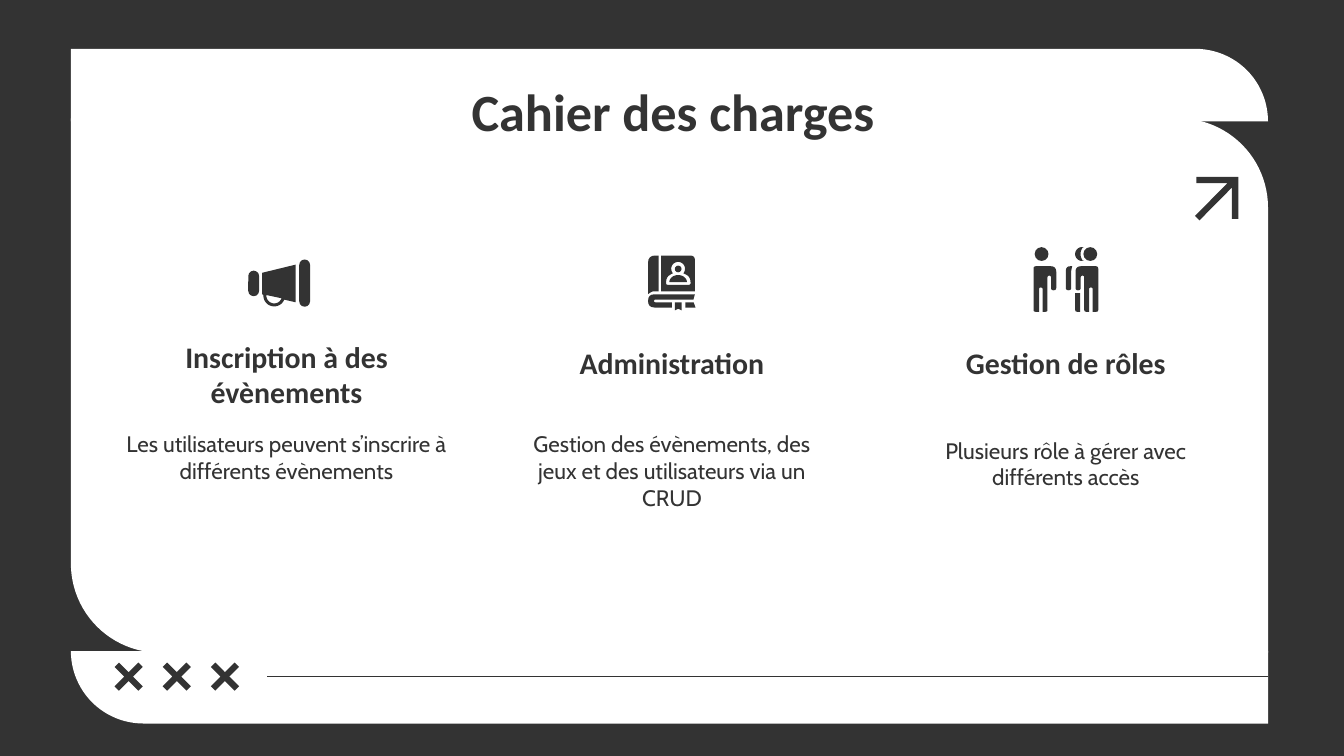
import dataclasses
import math

import pptx
import pptx.dml.color
import pptx.enum.shapes
import pptx.enum.text
import pptx.oxml
import pptx.oxml.ns
import pptx.util

Pt = pptx.util.Pt
Preset = pptx.enum.shapes.MSO_SHAPE
Anchor = pptx.enum.text.MSO_ANCHOR


@dataclasses.dataclass(frozen=True)
class Theme:
    dark: str = "333333"
    white: str = "FFFFFF"
    heading_font: str = "Calibri"
    body_font: str = "Cabin"
    title_size: float = 28
    heading_size: float = 16
    body_size: float = 12


THEME = Theme()
TITLE = {"name": THEME.heading_font, "size": Pt(THEME.title_size), "bold": True}
HEADING = {"name": THEME.heading_font, "size": Pt(THEME.heading_size), "bold": True}
BODY = {"name": THEME.body_font, "size": Pt(THEME.body_size), "bold": False}

COLUMN_LEFT, COLUMN_STEP = 57, 211
COLUMNS = [
    ("Inscription à des évènements", 192.2, 34.6,
     "Les utilisateurs peuvent s’inscrire à différents évènements", 223.2, 70.6, 193),
    ("Administration", 176.4, 34.6,
     "Gestion des évènements, des jeux et des utilisateurs via un CRUD", 223.2, 59, 184),
    ("Gestion de rôles", 176.4, 34.6,
     "Plusieurs rôle à gérer avec différents accès", 226.8, 45.4, 184),
]


def apply(target, values):
    for name, value in values.items():
        setattr(target, name, value)


def color(value):
    return pptx.dml.color.RGBColor.from_string(value)


def paint(shape, fill):
    shape.shadow.inherit = False
    shape.fill.solid()
    shape.fill.fore_color.rgb = color(fill)
    shape.line.fill.background()
    return shape


def add_preset(shapes, preset, left, top, width, height, fill=THEME.dark, adjustments=()):
    shape = shapes.add_shape(preset, Pt(left), Pt(top), Pt(width), Pt(height))
    for index, value in enumerate(adjustments):
        shape.adjustments[index] = value
    return paint(shape, fill)


def add_outline(shapes, *contours, fill=THEME.dark):
    builder = None
    for contour in contours:
        points = [(Pt(x), Pt(y)) for x, y in contour]
        if builder is None:
            builder = shapes.build_freeform(*points[0])
        else:
            builder.move_to(*points[0])
        builder.add_line_segments(points[1:], close=True)
    return paint(builder.convert_to_shape(), fill)


def arc(center_x, center_y, radius_x, radius_y, start, end, steps=24):
    angles = [math.radians(start + (end - start) * i / steps) for i in range(steps + 1)]
    return [(center_x + radius_x * math.cos(a), center_y + radius_y * math.sin(a)) for a in angles]


def rounded(*corners):
    points = []
    for index, (x, y, radius) in enumerate(corners):
        if not radius:
            points.append((x, y))
            continue
        ends = []
        for other in (corners[index - 1], corners[(index + 1) % len(corners)]):
            share = radius / math.hypot(other[0] - x, other[1] - y)
            ends.append((x + (other[0] - x) * share, y + (other[1] - y) * share))
        (x0, y0), (x1, y1) = ends
        for t in (0, 0.25, 0.5, 0.75, 1):
            a, b, c = (1 - t) ** 2, 2 * t * (1 - t), t ** 2
            points.append((a * x0 + b * x + c * x1, a * y0 + b * y + c * y1))
    return points


def add_text(slide, text, left, top, width, height, font, anchor=Anchor.TOP):
    frame = slide.shapes.add_textbox(Pt(left), Pt(top), Pt(width), Pt(height)).text_frame
    apply(frame, {"word_wrap": True, "vertical_anchor": anchor,
                  **{f"margin_{side}": Pt(7.2) for side in ("left", "top", "right", "bottom")}})
    paragraph = frame.paragraphs[0]
    paragraph.alignment = pptx.enum.text.PP_ALIGN.CENTER
    run = paragraph.add_run()
    run.text = text
    apply(run.font, font)
    run.font.color.rgb = color(THEME.dark)


def add_rule(slide, x0, x1, y):
    line = slide.shapes.add_connector(
        pptx.enum.shapes.MSO_CONNECTOR.STRAIGHT, Pt(x0), Pt(y), Pt(x1), Pt(y))
    line.line.color.rgb = color(THEME.dark)
    line.line.width = Pt(0.75)
    properties = line._element.spPr
    properties.append(pptx.oxml.parse_xml(f"<a:effectLst {pptx.oxml.ns.nsdecls('a')}/>"))


def add_panel(slide):
    shapes = slide.shapes.add_group_shape().shapes
    left, right, radius = 38, 679.3, 38.8
    add_preset(shapes, Preset.ROUND_2_DIAG_RECTANGLE, left, 63.4, right - left, 286.3,
               THEME.white, (0, 0.167))
    top, bottom = 26.2, 387.6
    add_outline(shapes, [(left, top + radius), (left, top)]
                + arc(right - radius, top + radius, radius, radius, -90, 0), fill=THEME.white)
    add_outline(shapes, [(right, bottom - radius), (right, bottom)]
                + arc(left + radius, bottom - radius, radius, radius, 90, 180), fill=THEME.white)


def add_decorations(slide):
    add_rule(slide, 143.3, 679.5, 362.3)
    crosses = slide.shapes.add_group_shape().shapes
    for index in range(3):
        cross = add_preset(crosses, Preset.CROSS, 59.9 + index * 25.8, 353.5, 18, 18,
                           adjustments=(0.407,))
        cross.rotation = 45
    add_outline(slide.shapes, [
        (660, 117.3), (660, 100.5), (642.6, 118.1), (640.2, 115.7), (657.6, 98.2),
        (641, 98.2), (641, 94.8), (663.4, 94.8), (663.4, 117.3)])


def add_megaphone(slide):
    shapes = slide.shapes.add_group_shape().shapes
    add_preset(shapes, Preset.ROUNDED_RECTANGLE, 133, 145, 5.8, 13.7, adjustments=(0.5,))
    add_preset(shapes, Preset.ROUNDED_RECTANGLE, 160.3, 139, 5.8, 25.3, adjustments=(0.5,))
    add_outline(shapes,
                [(158.4, 141.8), (140.4, 146.2), (140.4, 157.6)]
                + arc(146.9, 158.4, 5.8, 5.8, 182, 22) + [(158.4, 162)],
                arc(146.9, 158.4, 4.2, 4.2, 184, 20))


def add_book(slide):
    shapes = slide.shapes.add_group_shape().shapes
    add_outline(shapes, rounded((347.2, 136.9, 4), (352.8, 136.9, 0), (352.8, 156.1, 0),
                                (349.5, 156.1, 1), (347.2, 157.6, 0)))
    add_outline(shapes,
                rounded((354.2, 136.9, 0), (372.3, 136.9, 2.5), (372.3, 156.1, 0), (354.2, 156.1, 0)),
                arc(363.3, 144, 3.7, 3.7, 138, 402)
                + rounded((366.1, 146.4, 0), (369.8, 148.2, 2.5), (370, 152.6, 1),
                          (356.8, 152.6, 1), (357, 148.2, 2.5), (360.5, 146.4, 0)))
    add_preset(shapes, Preset.OVAL, 361.5, 142.3, 3.6, 3.6)
    add_outline(shapes, arc(363.3, 151.2, 4.7, 3.8, 180, 360))
    add_outline(shapes, rounded(
        (372.3, 157.7, 0), (347.2, 157.7, 3.5), (347.2, 164.8, 3.5), (360, 164.8, 0), (360, 162, 0),
        (350.4, 162, 0.7), (350.4, 160.6, 0.7), (371.5, 160.6, 0)))
    add_outline(shapes, [(367.2, 162), (371.6, 162), (372.6, 164.8), (367.2, 164.8)])
    add_outline(shapes, [(361.5, 162), (365.2, 162), (365.2, 166.3), (363.3, 165.4), (361.5, 166.3)])


def add_person(shapes, outer_x, direction):
    corners = [
        (0, 142.6, 1.4), (12.2, 142.6, 3), (12.2, 155.5, 1.3), (9.4, 155.5, 1.3), (9.4, 147.7, 0.9),
        (7.5, 147.7, 0.9), (7.5, 167, 1), (4.9, 167, 0), (4.9, 154, 0.9), (3, 154, 0.9),
        (3, 167, 0), (0, 167, 1)]
    add_outline(shapes, rounded(*[(outer_x + direction * x, y, r) for x, y, r in corners]))
    add_preset(shapes, Preset.OVAL, outer_x + direction * 4.3 - 3.7, 132.4, 7.4, 7.4)


def add_people(slide):
    shapes = slide.shapes.add_group_shape().shapes
    add_person(shapes, 553.7, 1)
    add_person(shapes, 588.4, -1)
    add_outline(shapes, rounded((571, 142.6, 2.5), (574.4, 142.6, 0), (573.9, 145, 0),
                                (573.9, 155.5, 1.4), (571, 155.5, 1.4)))
    add_outline(shapes, rounded((576, 157, 0), (578.7, 157, 0), (578.7, 167, 0), (576, 167, 1)))
    add_outline(shapes, arc(579.7, 136.1, 3.7, 3.7, -75, -285) + arc(584.6, 136.1, 5.7, 5.7, 141, 219))


def main():
    presentation = pptx.Presentation()
    apply(presentation, {"slide_width": Pt(720), "slide_height": Pt(405)})
    slide = presentation.slides.add_slide(presentation.slide_layouts[6])
    slide.background.fill.solid()
    slide.background.fill.fore_color.rgb = color(THEME.dark)
    add_panel(slide)
    add_text(slide, "Cahier des charges", 57, 35.3, 607, 45.4, TITLE)
    for index, (heading, heading_top, heading_height, body, body_top, body_height, width) in enumerate(COLUMNS):
        left = COLUMN_LEFT + index * COLUMN_STEP
        add_text(slide, body, left, body_top, width, body_height, BODY)
        add_text(slide, heading, left, heading_top, width, heading_height, HEADING, Anchor.BOTTOM)
    add_people(slide)
    add_decorations(slide)
    add_book(slide)
    add_megaphone(slide)
    presentation.save("out.pptx")


if __name__ == "__main__":
    main()
